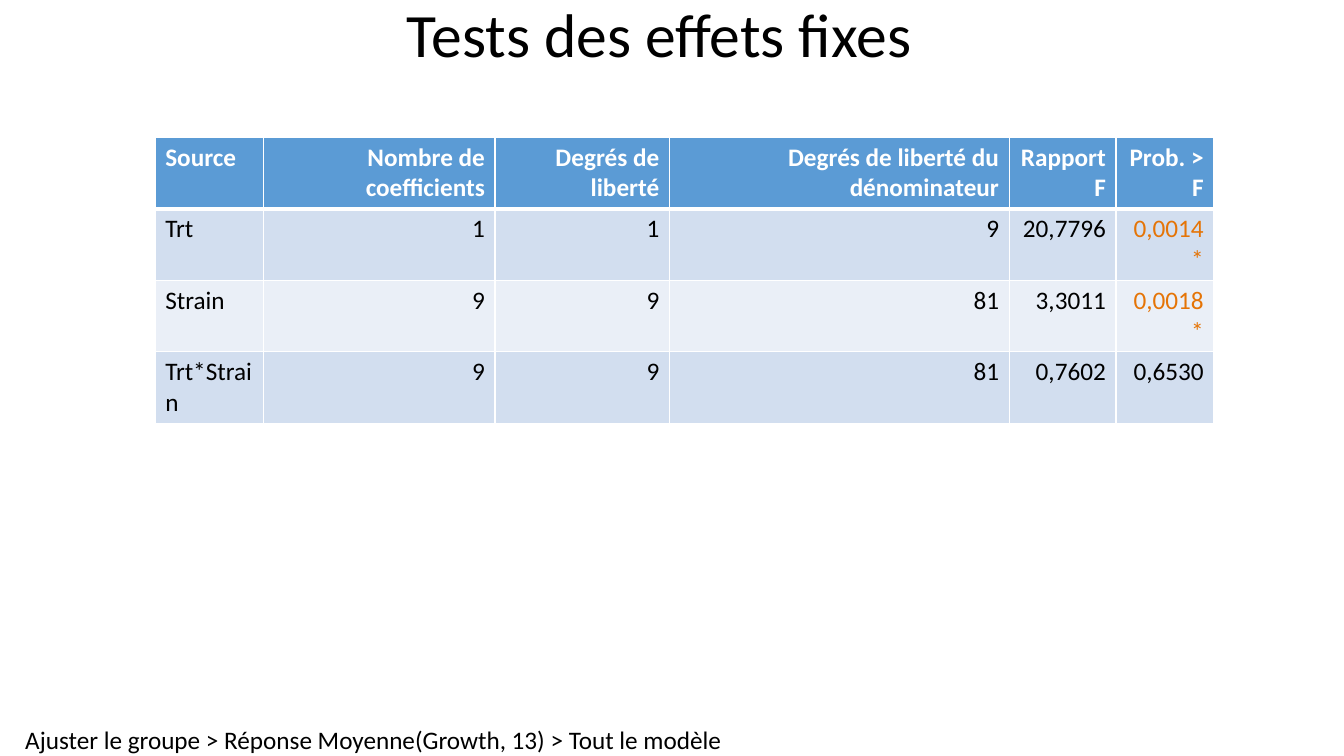
from lxml.etree import SubElement
from pptx import Presentation
from pptx.dml.color import RGBColor
from pptx.enum.text import MSO_ANCHOR, MSO_AUTO_SIZE, PP_ALIGN
from pptx.oxml.ns import qn
from pptx.util import Inches, Pt


def rgb(color):
    """Turn a hex string into a colour."""
    return RGBColor.from_string(color)


class Deck:
    """Hold the style and current slide; lengths are percentages of its size."""

    font = "Calibri"
    ink, white, accent, header = "000000", "FFFFFF", "E57406", "5B9BD5"
    bands = ("D2DEEF", "EAEFF7")

    def __init__(self):
        """Start a presentation with one title-only slide."""
        self.prs = Presentation()
        self.prs.slide_width, self.prs.slide_height = Inches(13.33), Inches(7.5)
        self.s = self.prs.slides.add_slide(self.prs.slide_layouts[5])

    def x(self, share):
        """Convert a percentage of the slide width."""
        return round(self.prs.slide_width * share / 100)

    def y(self, share):
        """Convert a percentage of the slide height."""
        return round(self.prs.slide_height * share / 100)

    def box(self, left, top, width, height):
        """Convert a frame given in percentages."""
        return self.x(left), self.y(top), self.x(width), self.y(height)

    def add_text(self, tf, text, size, color, align=PP_ALIGN.LEFT, bold=False):
        """Add one formatted run to the first paragraph."""
        p = tf.paragraphs[0]
        p.alignment = align
        r = p.add_run()
        r.text = text
        r.font.name, r.font.size, r.font.bold = self.font, Pt(size), bold
        r.font.color.rgb = rgb(color)
        return p

    def title(self, text, *frame):
        """Place and fill the title placeholder."""
        sp = self.s.shapes.title
        sp.left, sp.top, sp.width, sp.height = self.box(*frame)
        tf = sp.text_frame
        tf.auto_size = MSO_AUTO_SIZE.NONE
        tf.vertical_anchor = MSO_ANCHOR.MIDDLE
        self.add_text(tf, text, 44, self.ink, PP_ALIGN.CENTER).line_spacing = 0.9

    def text(self, text, *frame):
        """Add an unwrapped text box without margins."""
        tf = self.s.shapes.add_textbox(*self.box(*frame)).text_frame
        tf.margin_left = tf.margin_top = tf.margin_right = tf.margin_bottom = 0
        tf.word_wrap = False
        tf.auto_size = MSO_AUTO_SIZE.SHAPE_TO_FIT_TEXT
        self.add_text(tf, text, 18, self.ink)

    def borders(self, cell, row):
        """Draw white cell borders, thick below the header row."""
        thick = {0: "lnB", 1: "lnT"}.get(row)
        for side in ("lnL", "lnR", "lnT", "lnB"):
            width = Pt(3 if side == thick else 1)
            ln = SubElement(cell._tc.get_or_add_tcPr(), qn(f"a:{side}"), w=str(width))
            SubElement(SubElement(ln, qn("a:solidFill")), qn("a:srgbClr"), val=self.white)

    def table(self, rows, left, top, widths, row_height):
        """Add a banded table whose starred values are highlighted."""
        frame = self.box(left, top, sum(widths), row_height * len(rows))
        table = self.s.shapes.add_table(len(rows), len(widths), *frame).table
        for column, width in zip(table.columns, widths):
            column.width = self.x(width)
        for i, row in enumerate(rows):
            table.rows[i].height = self.y(row_height)
            for j, value in enumerate(row):
                cell = table.cell(i, j)
                self.borders(cell, i)
                cell.fill.solid()
                cell.fill.fore_color.rgb = rgb(self.bands[(i - 1) % 2] if i else self.header)
                color = self.accent if value.endswith("*") else self.ink
                align = PP_ALIGN.RIGHT if j else PP_ALIGN.LEFT
                self.add_text(cell.text_frame, value, 18, color if i else self.white, align, i == 0)


def main():
    """Build the slide of fixed effect tests."""
    deck = Deck()
    deck.text("Ajuster le groupe > Réponse Moyenne(Growth, 13) > Tout le modèle",
              1.88, 95.87, 52.14, 4.13)
    deck.title("Tests des effets fixes", 0, 0, 98.12, 10)
    rows = [
        ("Source", "Nombre de coefficients", "Degrés de liberté",
         "Degrés de liberté du dénominateur", "Rapport F", "Prob. > F"),
        ("Trt", "1", "1", "9", "20,7796", "0,0014*"),
        ("Strain", "9", "9", "81", "3,3011", "0,0018*"),
        ("Trt*Strain", "9", "9", "81", "0,7602", "0,6530"),
    ]
    deck.table(rows, 11.55, 18.13, (8.03, 17.25, 12.98, 25.28, 7.95, 7.28), 9.47)
    deck.prs.save("out.pptx")


if __name__ == "__main__":
    main()
